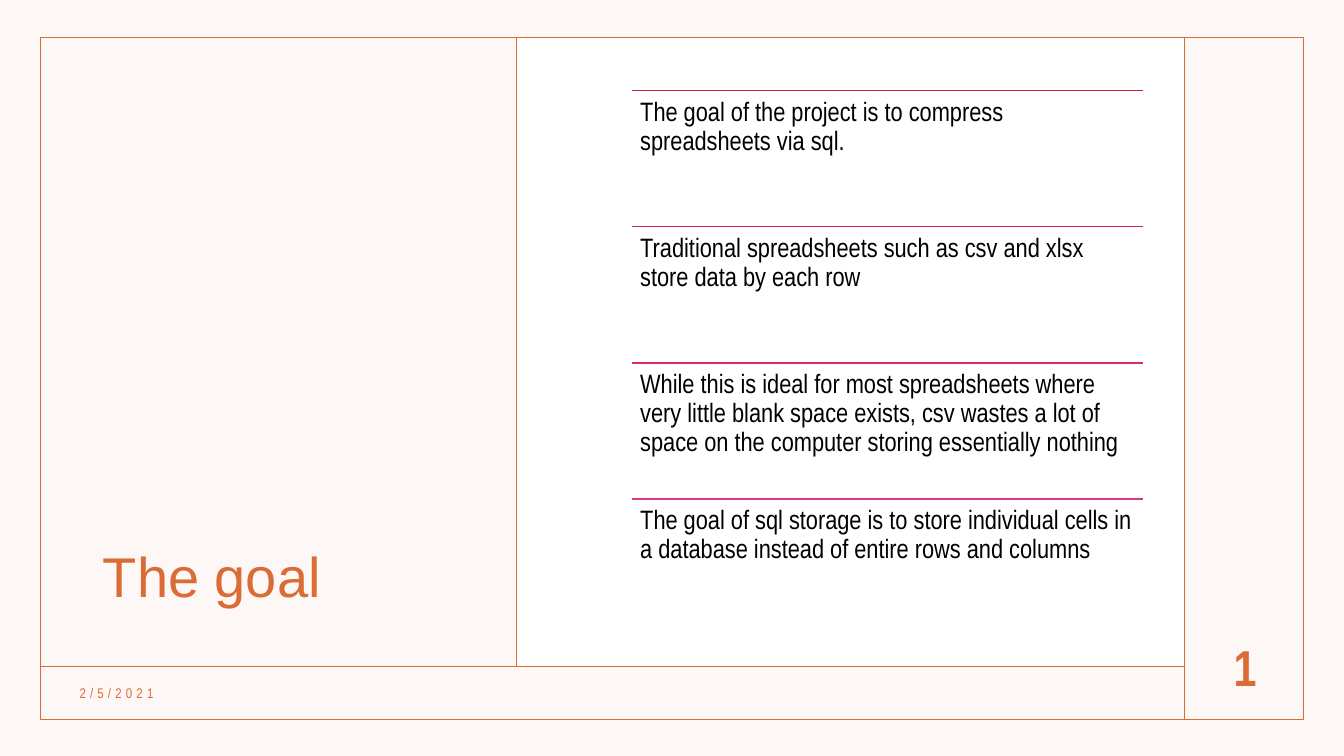
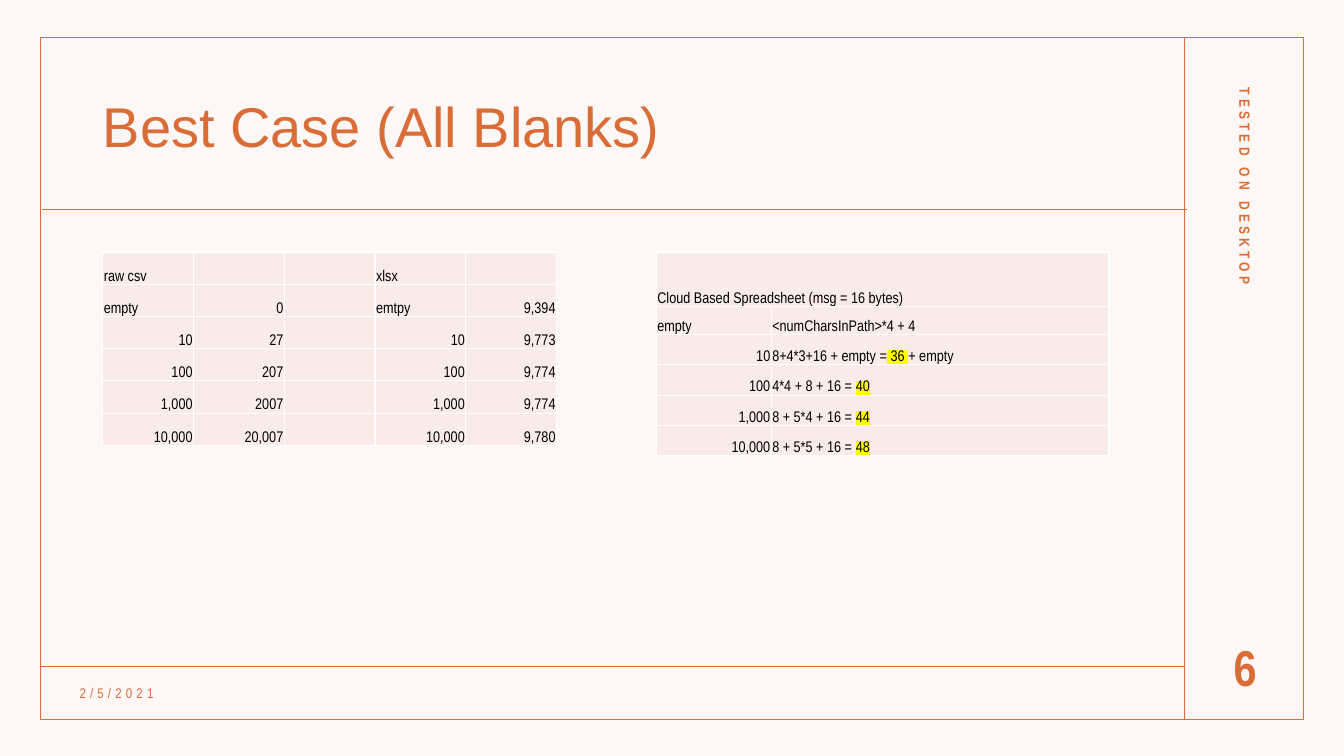
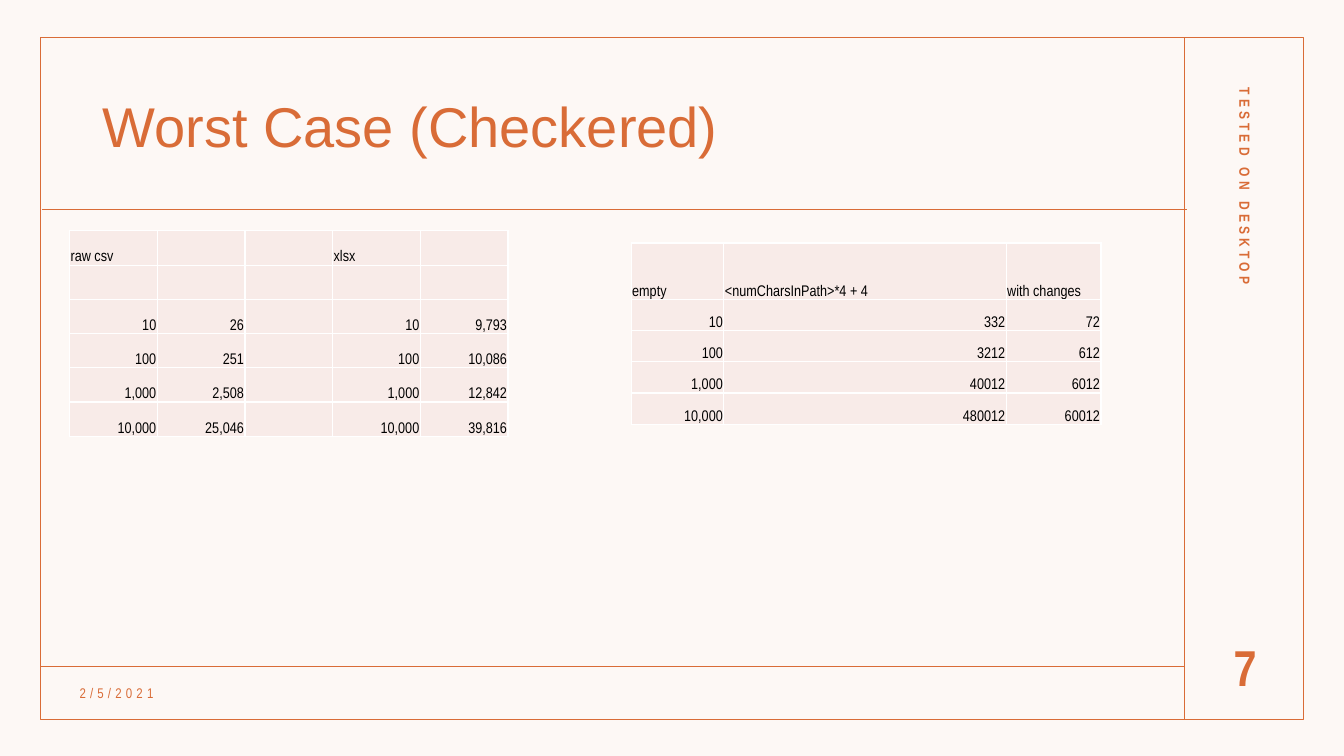
from lxml import etree
from pptx import Presentation
from pptx.dml.color import RGBColor
from pptx.enum.shapes import MSO_CONNECTOR, MSO_SHAPE
from pptx.enum.text import MSO_ANCHOR, MSO_AUTO_SIZE, PP_ALIGN
from pptx.oxml.ns import qn
from pptx.util import Inches, Pt

RECT = MSO_SHAPE.RECTANGLE
STRAIGHT = MSO_CONNECTOR.STRAIGHT
TOP, MIDDLE, BOTTOM = MSO_ANCHOR.TOP, MSO_ANCHOR.MIDDLE, MSO_ANCHOR.BOTTOM
LEFT, CENTER, RIGHT = PP_ALIGN.LEFT, PP_ALIGN.CENTER, PP_ALIGN.RIGHT
NO_FIT = MSO_AUTO_SIZE.NONE
rgb = RGBColor.from_string

ORANGE, CREAM, WHITE, BLACK = "D96C37", "FDF8F5", "FFFFFF", "000000"
CELL, YELLOW = "F8EBE8", "FFFF00"

TITLE = {"name": "Arial", "size": Pt(40)}
DATE = {"name": "Arial Narrow", "size": Pt(10)}
SIDE = {"name": "Arial Narrow", "size": Pt(10.5), "bold": True}
NUMBER = {"name": "Arial Narrow", "size": Pt(36), "bold": True}
GOAL = {"name": "Arial Narrow", "size": Pt(19)}
DATA = {"name": "Arial Narrow", "size": Pt(11)}


def set_text(tf, pieces, fmt, color=ORANGE, align=LEFT, spacing=None, tracking=None):
    p = tf.paragraphs[0]
    p.alignment = align
    p.line_spacing = spacing
    for i, text in enumerate(pieces):
        r = p.add_run()
        r.text = text
        for key, value in fmt.items():
            setattr(r.font, key, value)
        r.font.color.rgb = rgb(color)
        rPr = r.font._element
        if tracking:
            rPr.set("spc", str(tracking))
        if i % 2:
            mark = etree.Element(qn("a:highlight"))
            etree.SubElement(mark, qn("a:srgbClr"), val=YELLOW)
            rPr.find(qn("a:solidFill")).addnext(mark)


def add_line(slide, x1, y1, x2, y2, color=ORANGE):
    sp = slide.shapes.add_connector(STRAIGHT, Inches(x1), Inches(y1), Inches(x2), Inches(y2))
    sp.line.color.rgb = rgb(color)
    sp.line.width = Pt(1)
    etree.SubElement(sp._element.spPr, qn("a:effectLst"))


goals = [
    ("C72533", "The goal of the project is to compress spreadsheets via sql."),
    ("D1274E", "Traditional spreadsheets such as csv and xlsx store data by each row"),
    ("D72D6B", "While this is ideal for most spreadsheets where very little blank space exists, "
               "csv wastes a lot of space on the computer storing essentially nothing"),
    ("D93789", "The goal of sql storage is to store individual cells in a database instead of "
               "entire rows and columns"),
]

best_files = [
    ["raw csv", "", "", "xlsx", ""],
    ["empty", "0", "", "emtpy", "9,394"],
    ["10", "27", "", "10", "9,773"],
    ["100", "207", "", "100", "9,774"],
    ["1,000", "2007", "", "1,000", "9,774"],
    ["10,000", "20,007", "", "10,000", "9,780"],
]
best_cloud = [
    ["Cloud Based Spreadsheet (msg = 16 bytes)", None],
    ["empty", "<numCharsInPath>*4 + 4"],
    ["10", ("8+4*3+16 + empty =", " 36 ", "+ empty")],
    ["100", ("4*4 + 8 + 16 = ", "40")],
    ["1,000", ("8 + 5*4 + 16 = ", "44")],
    ["10,000", ("8 + 5*5 + 16 = ", "48")],
]
worst_files = [
    ["raw csv", "", "", "xlsx", ""],
    ["", "", "", "", ""],
    ["10", "26", "", "10", "9,793"],
    ["100", "251", "", "100", "10,086"],
    ["1,000", "2,508", "", "1,000", "12,842"],
    ["10,000", "25,046", "", "10,000", "39,816"],
]
worst_cloud = [
    ["empty", "<numCharsInPath>*4 + 4", "with changes"],
    ["10", "332", "72"],
    ["100", "3212", "612"],
    ["1,000", "40012", "6012"],
    ["10,000", "480012", "60012"],
]

pages = [
    ("The goal", "1", []),
    ("Best Case (All Blanks)", "6", [
        (1.02, 2.5, [0.9] * 5, [0.32] * 6, best_files),
        (6.51, 2.5, [1.14, 3.35], [0.54, 0.28] + [0.3] * 4, best_cloud),
    ]),
    ("Worst Case (Checkered)", "7", [
        (0.69, 2.29, [0.87] * 5, [0.34] * 6, worst_files),
        (6.26, 2.41, [0.92, 2.8, 0.94], [0.56] + [0.31] * 4, worst_cloud),
    ]),
]

prs = Presentation()
prs.slide_width, prs.slide_height = Inches(13.33), Inches(7.5)
bg = prs.slide_master.background.fill
bg.solid()
bg.fore_color.rgb = rgb(CREAM)

for title, number, tables in pages:
    slide = prs.slides.add_slide(prs.slide_layouts[5])

    if not tables:
        sp = slide.shapes.add_shape(RECT, Inches(5.12), Inches(0.37), Inches(6.63), Inches(6.24))
        sp.shadow.inherit = False
        sp.fill.solid()
        sp.fill.fore_color.rgb = rgb(WHITE)
        sp.line.fill.background()

    sp = slide.shapes.add_shape(RECT, Inches(0.4), Inches(0.37), Inches(12.53), Inches(6.77))
    sp.shadow.inherit = False
    sp.fill.background()
    sp.line.color.rgb = rgb(ORANGE)
    sp.line.width = Pt(1)
    add_line(slide, 11.75, 0.37, 11.75, 7.13)
    add_line(slide, 0.41, 6.61, 11.75, 6.61)
    if tables:
        add_line(slide, 0.42, 2.08, 11.77, 2.08)
    else:
        add_line(slide, 5.12, 0.37, 5.12, 6.61)

    sp = slide.shapes.title
    box = (0.92, 0.6, 10.42, 1.36) if tables else (0.92, 0.92, 3.74, 5.18)
    sp.left, sp.top, sp.width, sp.height = [Inches(v) for v in box]
    sp.text_frame.auto_size = NO_FIT
    sp.text_frame.vertical_anchor = MIDDLE if tables else BOTTOM
    set_text(sp.text_frame, [title], TITLE, spacing=0.9)

    labels = [
        ((0.69, 6.72, 3.45, 0.31), 0, "2/5/2021", DATE, LEFT, 300),
        ((11.83, 6.2, 1.04, 0.83), 0, number, NUMBER, CENTER, None),
    ]
    if tables:
        labels.append(((10.1, 2.82, 4.5, 0.4), 90, "TESTED ON DESKTOP", SIDE, LEFT, 300))
    for box, angle, text, fmt, align, tracking in labels:
        sp = slide.shapes.add_textbox(*[Inches(v) for v in box])
        sp.rotation = angle
        tf = sp.text_frame
        tf.word_wrap = True
        tf.vertical_anchor = MIDDLE
        set_text(tf, [text], fmt, align=align, tracking=tracking)

    for x, y, cols, rows, values in tables:
        frame = slide.shapes.add_table(len(rows), len(cols), Inches(x), Inches(y),
                                       Inches(sum(cols)), Inches(sum(rows)))
        table = frame.table
        table.first_row = table.horz_banding = False
        for col, width in zip(table.columns, cols):
            col.width = Inches(width)
        for row, height, line in zip(table.rows, rows, values):
            row.height = Inches(height)
            for cell, value in zip(row.cells, line):
                cell.fill.solid()
                cell.fill.fore_color.rgb = rgb(CELL)
                cell.vertical_anchor = BOTTOM
                cell.margin_left = cell.margin_right = cell.margin_top = Inches(0.01)
                cell.margin_bottom = 0
                if value:
                    pieces = [value] if isinstance(value, str) else value
                    align = RIGHT if pieces[0].replace(",", "").isdigit() else LEFT
                    set_text(cell.text_frame, pieces, DATA, BLACK, align)
        if None in values[0]:
            table.cell(0, 0).merge(table.cell(0, len(cols) - 1))

slide = prs.slides[0]
for i, (color, text) in enumerate(goals):
    y = 0.9 + 1.35 * i
    add_line(slide, 6.27, y, 11.34, y, color)
    sp = slide.shapes.add_textbox(Inches(6.27), Inches(y), Inches(5.07), Inches(1.35))
    tf = sp.text_frame
    tf.word_wrap = True
    tf.vertical_anchor = TOP
    tf.margin_left = tf.margin_right = tf.margin_top = tf.margin_bottom = Inches(0.08)
    set_text(tf, [text], GOAL, BLACK, spacing=0.9)

prs.save("out.pptx")
